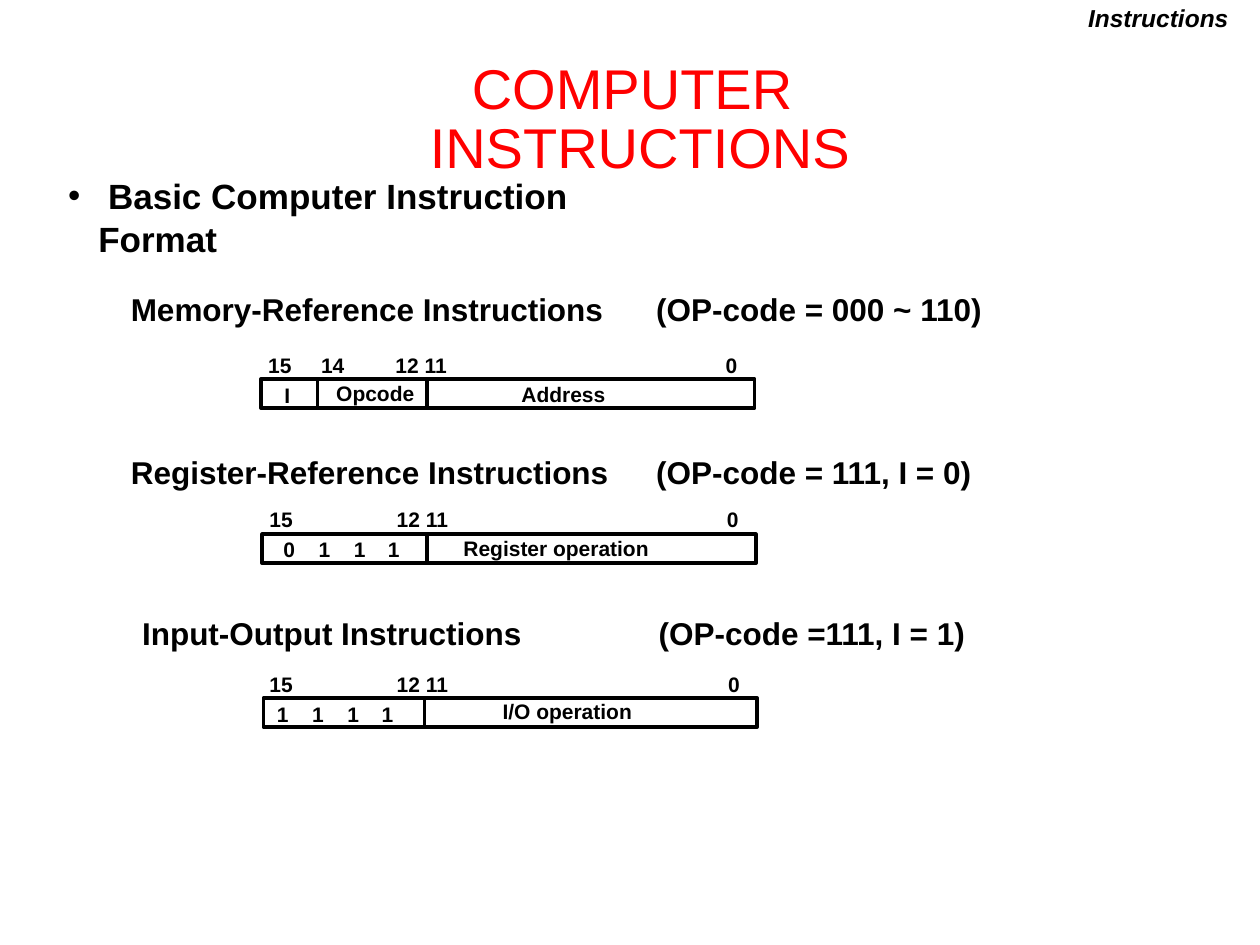
from dataclasses import dataclass

from lxml.etree import SubElement as Sub
from pptx import Presentation
from pptx.dml.color import RGBColor as Rgb
from pptx.enum.shapes import MSO_CONNECTOR as Conn, MSO_SHAPE as Form
from pptx.enum.text import MSO_ANCHOR as Anchor, PP_ALIGN as Align
from pptx.oxml.ns import qn
from pptx.util import Inches, Pt

HUES = {"ink": "000000", "title": "FF0000"}
FONT = "Arial"
TALL = 0.23  # height of a format bar
WIDE = 3.92  # width of a format bar


@dataclass
class Note:
    text: str
    left: float
    top: float
    wide: float
    high: float = 0.28
    size: int = 12
    bold: bool = True
    slant: bool = False
    hue: str = "ink"
    align: Align = Align.LEFT
    anchor: Anchor = Anchor.TOP
    wrap: bool = False
    inset: tuple[float, float] = (0.1, 0.05)
    lead: float | Pt = 0.9
    tabs: tuple[float, ...] = ()
    bullet: float = 0


@dataclass
class Bar:
    left: float
    top: float
    cuts: tuple[float, ...]
    drop: float  # offset of the cuts from the bar's top
    notes: list[Note]


def put(slide, note: Note) -> None:
    """Draw a text box; a line feed in the text is a line break."""
    box = slide.shapes.add_textbox(
        Inches(note.left), Inches(note.top), Inches(note.wide), Inches(note.high))
    frame = box.text_frame
    frame.word_wrap = note.wrap
    frame.vertical_anchor = note.anchor
    frame.margin_left = frame.margin_right = Inches(note.inset[0])
    frame.margin_top = frame.margin_bottom = Inches(note.inset[1])
    para = frame.paragraphs[0]
    para.alignment = note.align
    para.line_spacing = note.lead
    props = para._p.get_or_add_pPr()
    if note.bullet:
        props.set("marL", str(Inches(note.bullet)))
        props.set("indent", str(-Inches(note.bullet)))
        Sub(props, qn("a:buFont"), typeface=FONT)
        Sub(props, qn("a:buChar"), char="•")
    if note.tabs:
        stops = Sub(props, qn("a:tabLst"))
        for stop in note.tabs:
            Sub(stops, qn("a:tab"), pos=str(Inches(stop)), algn="l")
    for i, line in enumerate(note.text.split("\n")):
        if i:
            para.add_line_break()
        run = para.add_run()
        run.text = line
        font = run.font
        font.name, font.size = FONT, Pt(note.size)
        font.bold, font.italic = note.bold, note.slant
        font.color.rgb = Rgb.from_string(HUES[note.hue])


def ink(line) -> None:
    line.color.rgb = Rgb.from_string(HUES["ink"])
    line.width = Pt(2)


def draw(slide, bar: Bar) -> None:
    """Draw a format bar, its field borders and its labels."""
    rect = slide.shapes.add_shape(
        Form.RECTANGLE, Inches(bar.left), Inches(bar.top), Inches(WIDE), Inches(TALL))
    rect.shadow.inherit = False
    rect.fill.background()
    ink(rect.line)
    top = bar.top + bar.drop
    for x in bar.cuts:
        cut = slide.shapes.add_connector(
            Conn.STRAIGHT, Inches(x), Inches(top), Inches(x), Inches(top + TALL))
        ink(cut.line)
        Sub(cut._element.spPr, qn("a:effectLst"))
    for note in bar.notes:
        put(slide, note)


def bits(high: Note, x: float, zero: float) -> list[Note]:
    """Bit numbers above a bar: the high bits, 12 11 and 0."""
    return [high, Note("12 11", x, high.top, 0.65), Note("0", zero, high.top, 0.31)]


def code(text: str, left: float, top: float) -> Note:
    """Four bit values, evenly spaced."""
    return Note("\t".join(text), left, top, 1.2,
                tabs=tuple(round(0.278 * i, 2) for i in (1, 2, 3)))


def head(text: str, op: str, top: float, left: float = 0.94,
         stop: float = 4.17) -> Note:
    return Note(f"{text}\t{op}", left, top, 7.2, 0.37, 18, tabs=(stop,))


# Title, corner label and bullet
HEADS = [
    Note("COMPUTER \nINSTRUCTIONS", 1.95, 0.47, 6.26, 0.98, 32, bold=False,
         hue="title", align=Align.CENTER, anchor=Anchor.MIDDLE, wrap=True,
         inset=(0.07, 0.03), lead=Pt(33.4)),
    Note("Instructions", 8.35, 0, 1.5, 0.31, 14, slant=True, align=Align.RIGHT),
    Note(" Basic Computer Instruction Format", 0.47, 1.35, 4.98, 0.4, 20,
         wrap=True, inset=(0.07, 0.03), lead=Pt(24.5), bullet=0.24),
    head("Memory-Reference Instructions", "(OP-code = 000 ~ 110)", 2.29),
    head("Register-Reference Instructions", "(OP-code = 111, I = 0)", 3.58),
    head("Input-Output Instructions", "(OP-code =111, I = 1)", 4.86, 1.03, 4.1),
]

# Instruction formats
BARS = [
    Bar(2.07, 3.01, (2.52, 3.39), 0, [
        *bits(Note("15\t14", 2.03, 2.77, 0.95, tabs=(0.42,)), 3.04, 5.66),
        Note("I", 2.16, 3.01, 0.26),
        Note("Opcode", 2.57, 2.99, 0.85),
        Note("Address", 4.04, 3, 0.9)]),
    Bar(2.08, 4.24, (3.39,), -0.01, [
        *bits(Note("15", 2.04, 3.99, 0.43), 3.05, 5.67),
        Note("Register operation", 3.58, 4.22, 1.72),
        code("0111", 2.15, 4.23)]),
    Bar(2.09, 5.54, (3.37,), 0.01, [
        *bits(Note("15", 2.04, 5.3, 0.43), 3.05, 5.68),
        Note("I/O operation", 3.89, 5.52, 1.28),
        code("1111", 2.1, 5.54)]),
]


def main() -> None:
    deck = Presentation()
    deck.slide_width, deck.slide_height = Inches(10), Inches(7.5)
    slide = deck.slides.add_slide(deck.slide_layouts[6])
    for note in HEADS:
        put(slide, note)
    for bar in BARS:
        draw(slide, bar)
    deck.save("out.pptx")


if __name__ == "__main__":
    main()
